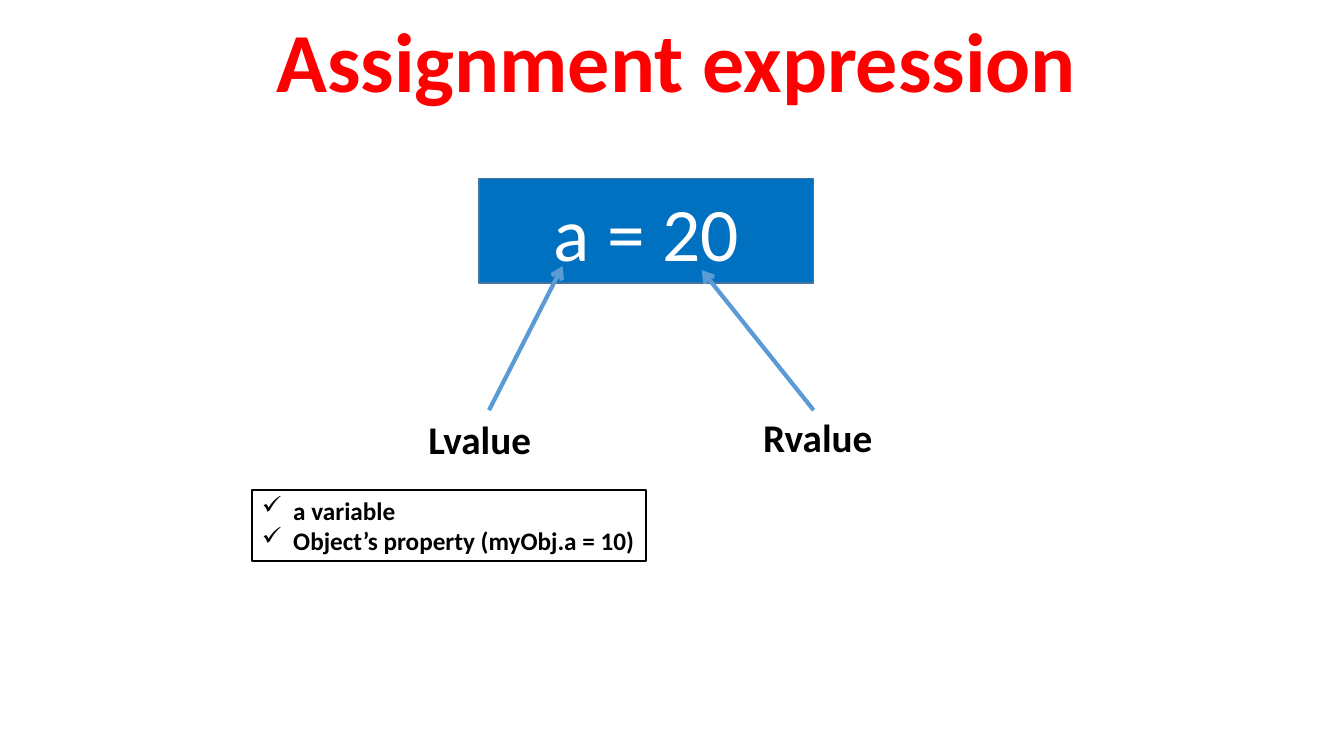
from typing import NamedTuple

from lxml import etree
from pptx import Presentation
from pptx.dml.color import RGBColor
from pptx.enum import shapes, text
from pptx.oxml.ns import qn
from pptx.util import Inches, Pt

RED = RGBColor(0xFF, 0x00, 0x00)
BLUE = RGBColor(0x00, 0x70, 0xC0)
BORDER_BLUE = RGBColor(0x43, 0x73, 0x9E)
ARROW_BLUE = RGBColor(0x5B, 0x9B, 0xD5)
WHITE = RGBColor(0xFF, 0xFF, 0xFF)
BLACK = RGBColor(0x00, 0x00, 0x00)


class Box(NamedTuple):
    left: float
    top: float
    width: float
    height: float


class Operand(NamedTuple):
    name: str
    label: Box
    start: tuple[float, float]
    end: tuple[float, float]


OPERANDS = [
    Operand("Lvalue", Box(4.15, 4.07, 1.23, 0.57), (4.85, 4.07), (5.58, 2.64)),
    Operand("Rvalue", Box(7.47, 4.05, 1.3, 0.57), (8.07, 4.07), (6.96, 2.68)),
]
LVALUE_KINDS = ["a variable", "Object’s property (myObj.a = 10)"]


def write(sp, lines: list[str], size: int, color: RGBColor, bold: bool = True,
          align=text.PP_ALIGN.LEFT) -> None:
    tf = sp.text_frame
    tf.text = "\n".join(lines)
    for p in tf.paragraphs:
        p.alignment = align
        p.font.name = "Calibri"
        p.font.size = Pt(size)
        p.font.bold = bold
        p.font.color.rgb = color


def add_text(slide, box: Box, line: str, size: int, color: RGBColor, wrap: bool = False,
             align=text.PP_ALIGN.LEFT):
    sp = slide.shapes.add_textbox(*map(Inches, box))
    sp.text_frame.word_wrap = wrap
    write(sp, [line], size, color, align=align)
    return sp


def add_rect(slide, box: Box, line_color: RGBColor, line_width: float):
    sp = slide.shapes.add_shape(shapes.MSO_SHAPE.RECTANGLE, *map(Inches, box))
    sp.shadow.inherit = False
    sp.line.color.rgb = line_color
    sp.line.width = Pt(line_width)
    return sp


def add_arrow(slide, start: tuple[float, float], end: tuple[float, float]) -> None:
    arrow = slide.shapes.add_connector(
        shapes.MSO_CONNECTOR.STRAIGHT, *map(Inches, start + end))
    arrow.line.color.rgb = ARROW_BLUE
    arrow.line.width = Pt(3)
    etree.SubElement(arrow.line._get_or_add_ln(), qn("a:tailEnd"), type="arrow")
    etree.SubElement(arrow._element.spPr, qn("a:effectLst"))


def add_check(p, indent: float) -> None:
    pPr = p._p.get_or_add_pPr()
    pPr.set("marL", str(Inches(indent)))
    pPr.set("indent", str(Inches(-indent)))
    bullet = etree.Element(qn("a:buChar"), char="✓")
    pPr.insert(0, bullet)


prs = Presentation()
prs.slide_width = Inches(13.33)
prs.slide_height = Inches(7.5)
slide = prs.slides.add_slide(prs.slide_layouts[6])

title = add_text(slide, Box(0.49, 0.15, 12.44, 1.08), "Assignment expression", 60, RED,
                 wrap=True, align=text.PP_ALIGN.CENTER)
title.text_frame.paragraphs[0].line_spacing = 0.9

expression = add_rect(slide, Box(4.75, 1.77, 3.32, 1.04), BORDER_BLUE, 1)
expression.fill.solid()
expression.fill.fore_color.rgb = BLUE
expression.text_frame.vertical_anchor = text.MSO_ANCHOR.MIDDLE
write(expression, ["a = 20"], 54, WHITE, bold=False, align=text.PP_ALIGN.CENTER)

for operand in OPERANDS:
    add_arrow(slide, operand.start, operand.end)
    add_text(slide, operand.label, operand.name, 28, BLACK)

kinds = add_rect(slide, Box(2.5, 4.86, 3.91, 0.71), BLACK, 1.5)
kinds.fill.background()
kinds.text_frame.word_wrap = True
kinds.text_frame.vertical_anchor = text.MSO_ANCHOR.TOP
write(kinds, LVALUE_KINDS, 18, BLACK)
for p in kinds.text_frame.paragraphs:
    add_check(p, 0.31)

prs.save("out.pptx")
